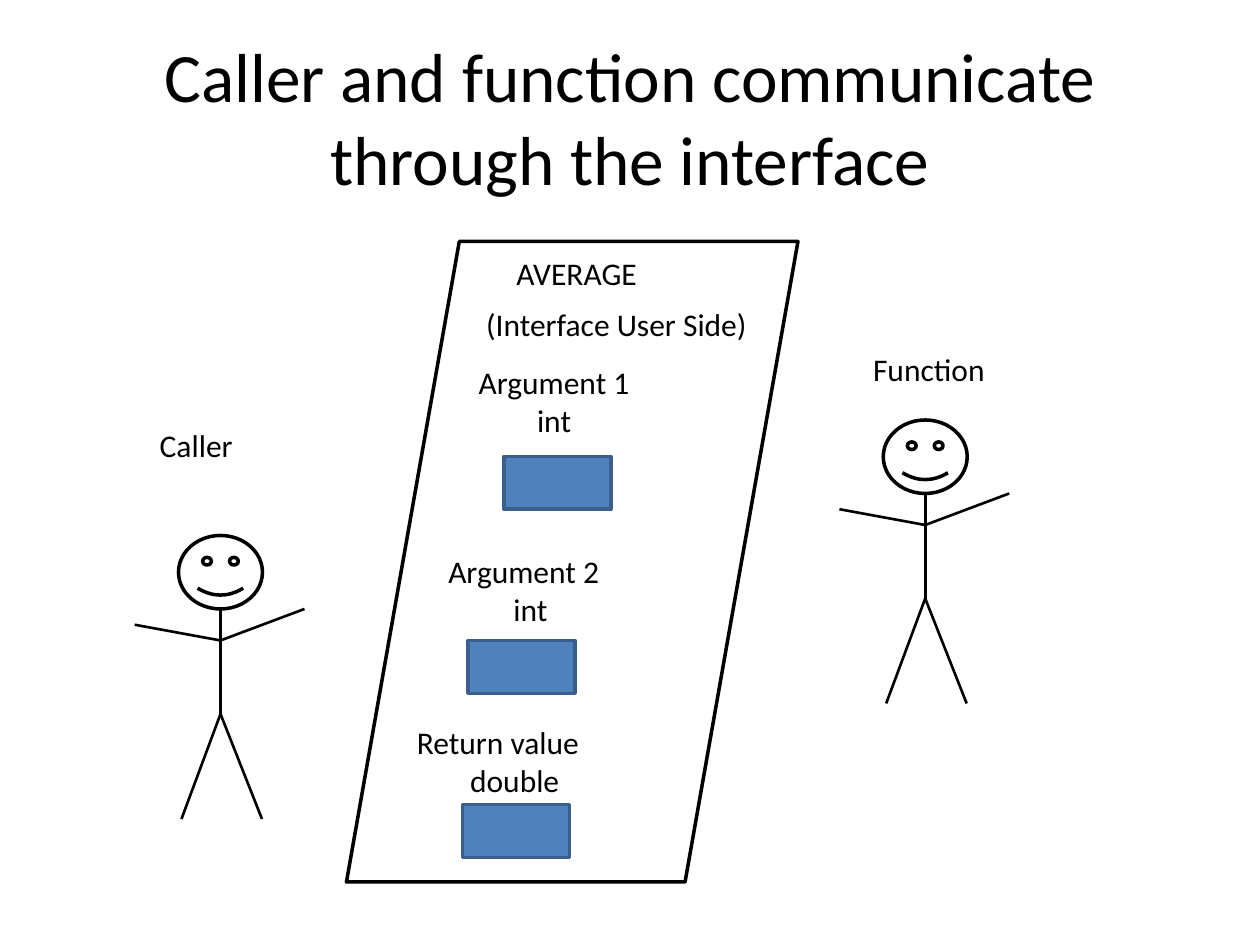
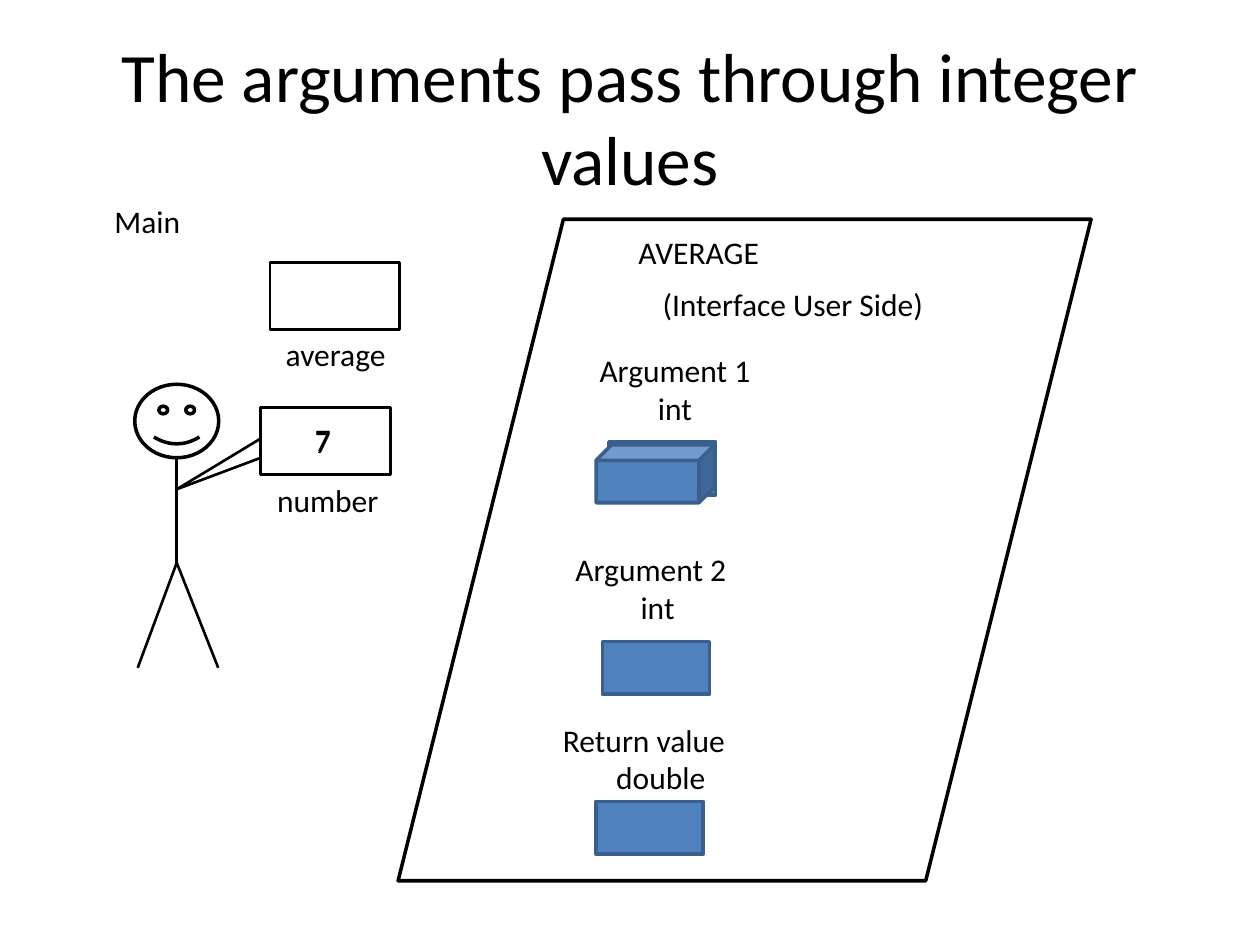
from dataclasses import dataclass

import pptx
import pptx.dml.color
import pptx.enum.shapes
import pptx.enum.text
import pptx.util
from lxml import etree
from pptx.oxml.ns import qn

Pt = pptx.util.Pt
RGB = pptx.dml.color.RGBColor
Shape = pptx.enum.shapes.MSO_SHAPE
Align = pptx.enum.text.PP_ALIGN


@dataclass(frozen=True)
class Theme:
    font: str = "Calibri"
    ink: RGB = RGB(0x00, 0x00, 0x00)
    slot_fill: RGB = RGB(0x4F, 0x81, 0xBD)
    slot_edge: RGB = RGB(0x3A, 0x5F, 0x8C)
    title_size: float = 39.6
    body_size: float = 18
    outline: float = 2
    thin: float = 1.5


@dataclass(frozen=True)
class Box:
    left: float
    top: float
    width: float
    height: float

    def lengths(self) -> tuple:
        return Pt(self.left), Pt(self.top), Pt(self.width), Pt(self.height)


@dataclass(frozen=True)
class Point:
    x: float
    y: float


@dataclass(frozen=True)
class Slot:
    role: str
    kind: str
    label: Box
    corner: Point
    wrap: bool = True


@dataclass(frozen=True)
class Interface:
    panel: Box
    name: Point
    side: Point
    slots: tuple[Slot, ...]


@dataclass(frozen=True)
class Variable:
    name: str
    box: Box
    label: Box


THEME = Theme()
LINE_HEIGHT = 29
LABEL_HEIGHT = 51
SLOT_WIDTH, SLOT_HEIGHT = 61.2, 30.2
TITLE = Box(36, 21.6, 648, 90)
LOWERED_HAND = Point(-25, 51)
HOLDING_HAND = Point(72, 31)


def add_text(slide, box: Box, lines: list[str], aligns: tuple = (Align.LEFT, Align.CENTER),
             size: float = THEME.body_size, wrap: bool = True, grow: bool = True) -> None:
    frame = slide.shapes.add_textbox(*box.lengths()).text_frame
    frame.word_wrap = wrap
    if grow:
        frame.auto_size = pptx.enum.text.MSO_AUTO_SIZE.SHAPE_TO_FIT_TEXT
    else:
        frame.vertical_anchor = pptx.enum.text.MSO_ANCHOR.MIDDLE
    frame.text = "\n".join(lines)
    for paragraph, align in zip(frame.paragraphs, aligns):
        paragraph.alignment = align
        paragraph.font.name = THEME.font
        paragraph.font.size = Pt(size)
        paragraph.font.color.rgb = THEME.ink


def add_outline(shapes, kind: Shape, box: Box, weight: float = THEME.outline,
                edge: RGB = THEME.ink, fill: RGB | None = None):
    shape = shapes.add_shape(kind, *box.lengths())
    shape.shadow.inherit = False
    if fill is None:
        shape.fill.background()
    else:
        shape.fill.solid()
        shape.fill.fore_color.rgb = fill
    shape.line.color.rgb = edge
    shape.line.width = Pt(weight)
    return shape


def add_limb(shapes, start: Point, end: Point) -> None:
    limb = shapes.add_connector(pptx.enum.shapes.MSO_CONNECTOR.STRAIGHT,
                                Pt(start.x), Pt(start.y), Pt(end.x), Pt(end.y))
    limb.line.color.rgb = THEME.ink
    limb.line.width = Pt(THEME.thin)
    etree.SubElement(limb._element.spPr, qn("a:effectLst"))


def add_person(slide, head: Point, left_hand: Point = LOWERED_HAND) -> None:
    shapes = slide.shapes.add_group_shape().shapes
    add_outline(shapes, Shape.SMILEY_FACE, Box(head.x, head.y, 48, 42))
    neck, shoulder, hip = Point(24, 42), Point(24, 60), Point(24, 102)
    limbs = [(neck, hip), (hip, Point(1.7, 162)), (hip, Point(47.7, 162)),
             (shoulder, Point(72, 42)), (left_hand, shoulder)]
    for start, end in limbs:
        add_limb(shapes, Point(head.x + start.x, head.y + start.y),
                 Point(head.x + end.x, head.y + end.y))


def add_slot_shape(slide, kind: Shape, box: Box):
    return add_outline(slide.shapes, kind, box, edge=THEME.slot_edge, fill=THEME.slot_fill)


def add_interface(slide, interface: Interface) -> None:
    add_outline(slide.shapes, Shape.PARALLELOGRAM, interface.panel)
    for words, at, width in (("AVERAGE", interface.name, 144),
                             ("(Interface User Side)", interface.side, 167)):
        add_text(slide, Box(at.x, at.y, width, LINE_HEIGHT), [words])
    for slot in interface.slots:
        add_text(slide, slot.label, [slot.role, slot.kind], wrap=slot.wrap)
        add_slot_shape(slide, Shape.RECTANGLE,
                       Box(slot.corner.x, slot.corner.y, SLOT_WIDTH, SLOT_HEIGHT))


def average_slots(labels: list[Point], corners: list[Point]) -> tuple[Slot, ...]:
    signature = [("Argument 1", "int", 101.5, False), ("Argument 2", "int", 108, True),
                 ("Return value", "double", 126, True)]
    return tuple(
        Slot(role, kind, Box(label.x, label.y, width, LABEL_HEIGHT), corner, wrap)
        for (role, kind, width, wrap), label, corner in zip(signature, labels, corners))


def add_titled_slide(deck, title: str):
    slide = deck.slides.add_slide(deck.slide_layouts[6])
    add_text(slide, TITLE, [title], (Align.CENTER,), THEME.title_size, grow=False)
    return slide


def build_communication(deck) -> None:
    slide = add_titled_slide(deck, "Caller and function communicate through the interface")
    add_interface(slide, Interface(
        Box(198, 138, 258, 366), Point(288, 141.8), Point(270.7, 170.6),
        average_slots([Point(266.4, 203.8), Point(249.1, 311.8), Point(231.1, 409.7)],
                      [Point(287.9, 260.8), Point(267.5, 366), Point(264.4, 459.8)])))
    add_text(slide, Box(84.2, 239.8, 66.2, LINE_HEIGHT), ["Caller"])
    add_person(slide, Point(102, 306))
    add_text(slide, Box(491.8, 196.6, 85, LINE_HEIGHT), ["Function"])
    add_person(slide, Point(504.7, 240))


def build_passing(deck) -> None:
    slide = add_titled_slide(deck, "The arguments pass through integer values")
    add_text(slide, Box(58.3, 111.6, 66.2, LINE_HEIGHT), ["Main"])
    add_person(slide, Point(77, 219.6), HOLDING_HAND)
    add_interface(slide, Interface(
        Box(227.5, 125.3, 396, 378), Point(357.8, 129.6), Point(371.5, 159.1),
        average_slots([Point(335.5, 197.3), Point(321.8, 311), Point(314.6, 408.2)],
                      [Point(347.8, 252.7), Point(344.2, 366.5), Point(340.6, 457.9)])))
    passed_value = add_slot_shape(slide, Shape.CUBE, Box(340.6, 254.2, 67.7, 33.1))
    passed_value.adjustments[0] = 0.27
    variables = [
        Variable("number", Box(149, 233, 74, 38.2), Box(151.2, 271.4, 72.7, LINE_HEIGHT)),
        Variable("average", Box(154.3, 150, 74, 38.2), Box(156.2, 187.9, 72.7, LINE_HEIGHT)),
    ]
    for variable in variables:
        add_outline(slide.shapes, Shape.RECTANGLE, variable.box, THEME.thin)
        add_text(slide, variable.label, [variable.name])
    for value_top in (237.6, 236.2):
        add_text(slide, Box(172.8, value_top, 26, LINE_HEIGHT), ["7"])


def main() -> None:
    deck = pptx.Presentation()
    deck.slide_width, deck.slide_height = Pt(720), Pt(540)
    build_communication(deck)
    build_passing(deck)
    deck.save("out.pptx")


if __name__ == "__main__":
    main()
